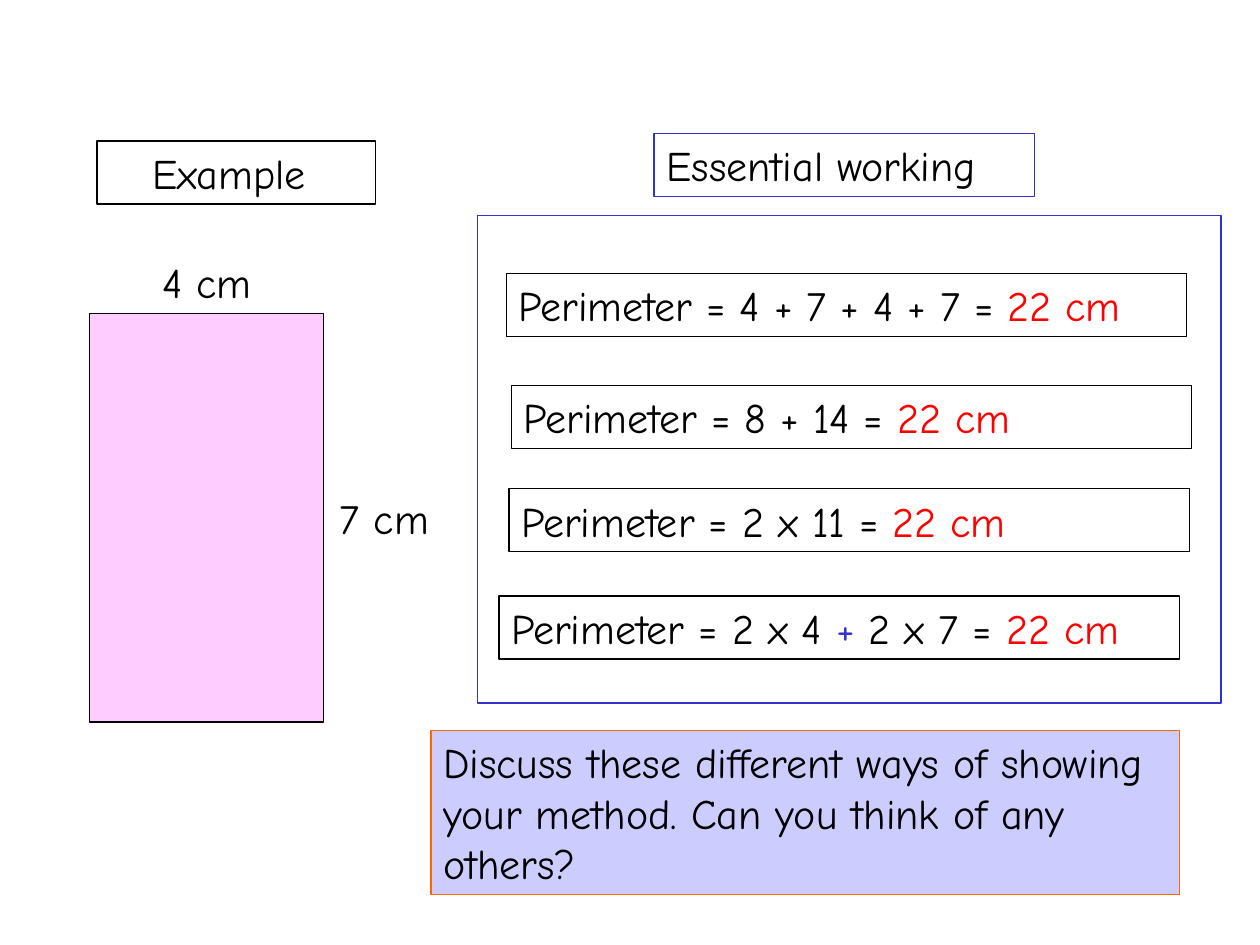
from pptx import Presentation
from pptx.dml.color import RGBColor
from pptx.enum.shapes import MSO_SHAPE
from pptx.enum.text import MSO_ANCHOR, MSO_AUTO_SIZE, PP_ALIGN
from pptx.util import Inches, Pt

RECTANGLE = MSO_SHAPE.RECTANGLE
TOP = MSO_ANCHOR.TOP
GROW = MSO_AUTO_SIZE.SHAPE_TO_FIT_TEXT
LEFT, CENTER = PP_ALIGN.LEFT, PP_ALIGN.CENTER

BLACK = RGBColor(0x00, 0x00, 0x00)
RED = RGBColor(0xFF, 0x00, 0x00)
BLUE = RGBColor(0x33, 0x33, 0xCC)
ORANGE = RGBColor(0xFF, 0x66, 0x00)
PINK = RGBColor(0xFF, 0xCC, 0xFF)
LAVENDER = RGBColor(0xCC, 0xCC, 0xFF)

LINE_HEIGHT = 0.5
ANSWER = ("22 cm", RED)


def write_text(box, spans, align=LEFT, font="Comic Neue", size=24):
    """Fill a box with one paragraph of (text, colour) spans."""
    frame = box.text_frame
    frame.word_wrap = True
    frame.auto_size = GROW
    frame.vertical_anchor = TOP
    para = frame.paragraphs[0]
    para.alignment = align
    for text, color in spans:
        span = para.add_run()
        span.text = text
        span.font.name = font
        span.font.size = Pt(size)
        span.font.color.rgb = color


class Page:
    """The current slide and the line weight shared by its boxes."""

    def __init__(self, slide, line_width=0.75):
        self.shapes = slide.shapes
        self.line_width = Pt(line_width)

    def box(self, left, top, width, height, line=BLACK, fill=None):
        shape = self.shapes.add_shape(
            RECTANGLE, Inches(left), Inches(top), Inches(width), Inches(height))
        shape.shadow.inherit = False
        if fill is None:
            shape.fill.background()
        else:
            shape.fill.solid()
            shape.fill.fore_color.rgb = fill
        shape.line.color.rgb = line
        shape.line.width = self.line_width
        return shape

    def label(self, left, top, text):
        label = self.shapes.add_textbox(
            Inches(left), Inches(top), Inches(1.54), Inches(LINE_HEIGHT))
        write_text(label, [(text, BLACK)])

    def text_box(self, left, top, width, spans, height=LINE_HEIGHT,
                 align=LEFT, line=BLACK, fill=None):
        write_text(self.box(left, top, width, height, line, fill), spans, align)


def main():
    deck = Presentation()
    deck.slide_width, deck.slide_height = Inches(10), Inches(7.5)
    page = Page(deck.slides.add_slide(deck.slide_layouts[6]))

    page.box(0.71, 2.49, 1.86, 3.24, fill=PINK)
    page.text_box(0.77, 1.12, 2.21, [("Example ", BLACK)], align=CENTER)
    page.label(1.19, 1.99, "4 cm")
    page.label(2.6, 3.86, "7 cm")

    page.text_box(5.19, 1.06, 3.02, [("Essential working", BLACK)], line=BLUE)
    page.box(3.79, 1.71, 5.9, 3.87, line=BLUE)
    methods = [
        (4.02, 2.17, [("Perimeter = 4 + 7 + 4 + 7 = ", BLACK)]),
        (4.06, 3.06, [("Perimeter = 8 + 14 = ", BLACK)]),
        (4.04, 3.88, [("Perimeter = 2 x 11 = ", BLACK)]),
        (3.96, 4.73, [("Perimeter = 2 x 4 ", BLACK), ("+", BLUE),
                      (" 2 x 7 = ", BLACK)]),
    ]
    for left, top, working in methods:
        page.text_box(left, top, 5.4, working + [ANSWER])

    question = ("Discuss these different ways of showing your method. "
                "Can you think of any others?")
    page.text_box(3.42, 5.8, 5.94, [(question, BLACK)], height=1.3,
                  line=ORANGE, fill=LAVENDER)
    deck.save("out.pptx")


if __name__ == "__main__":
    main()
